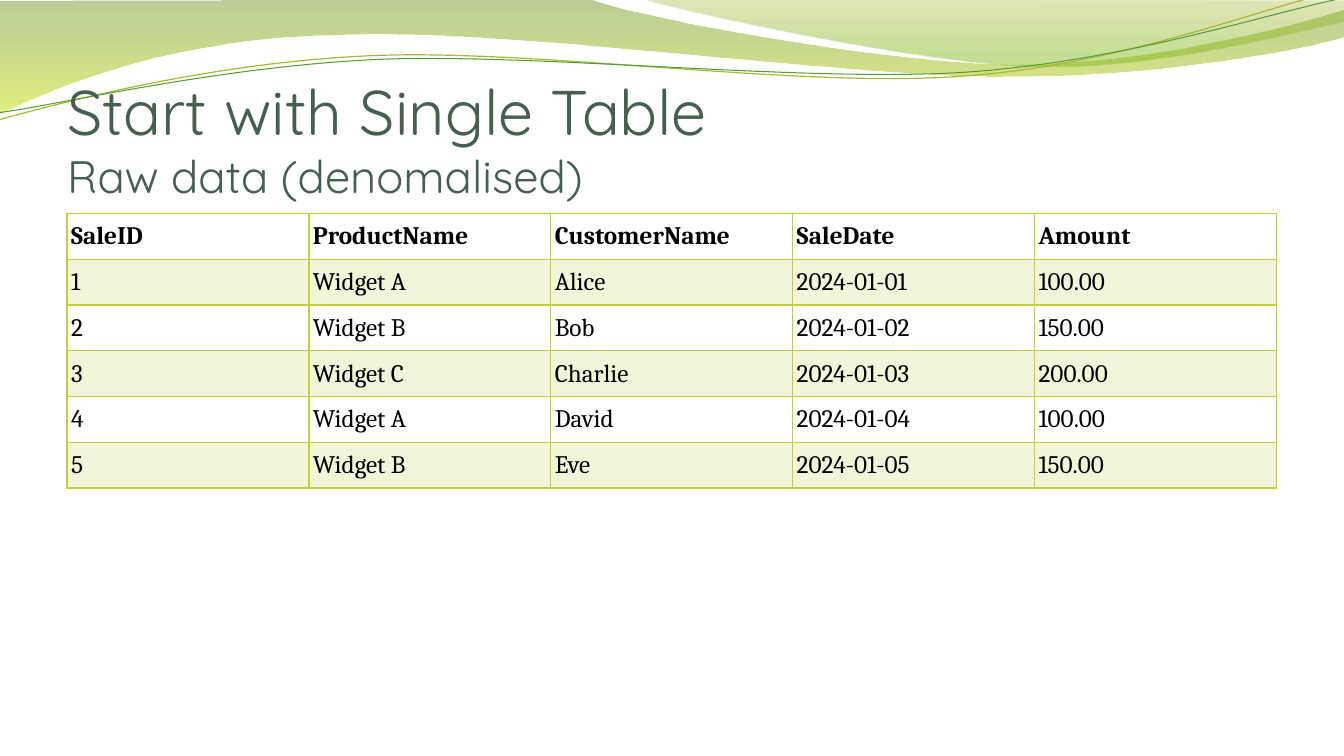
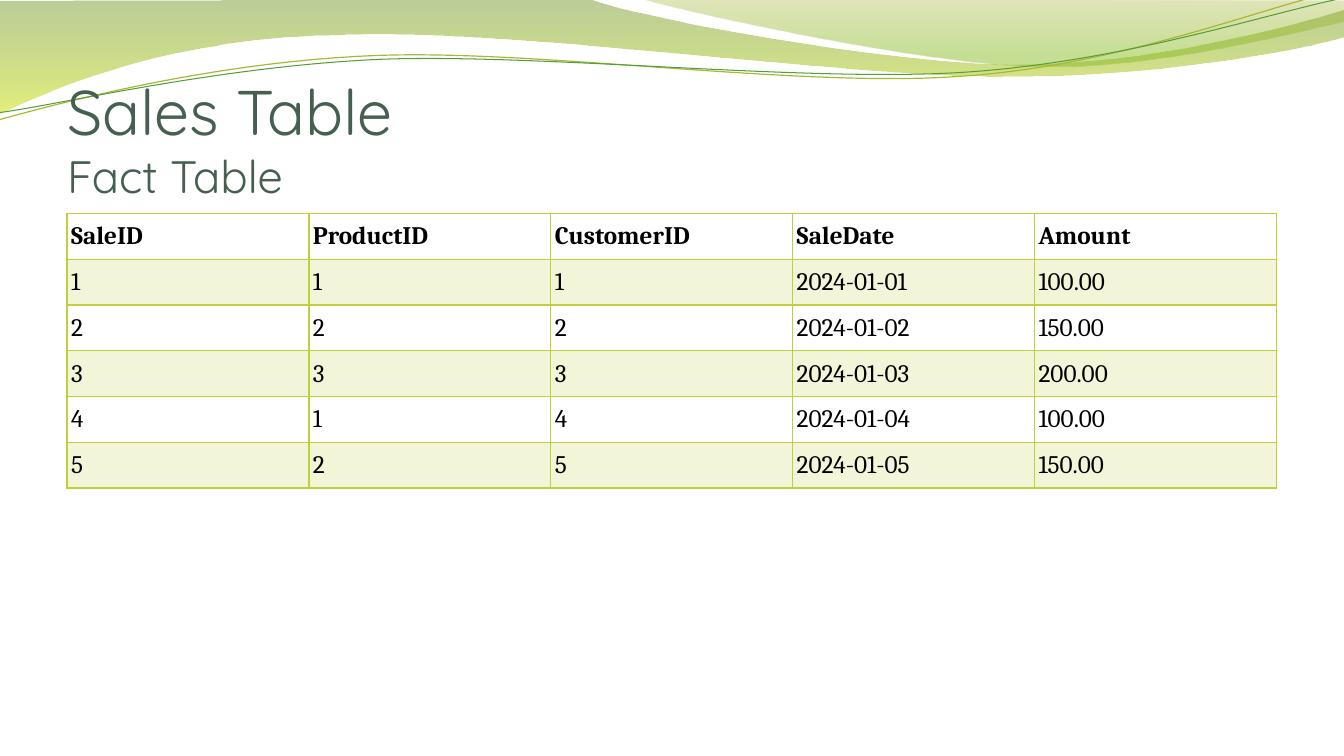
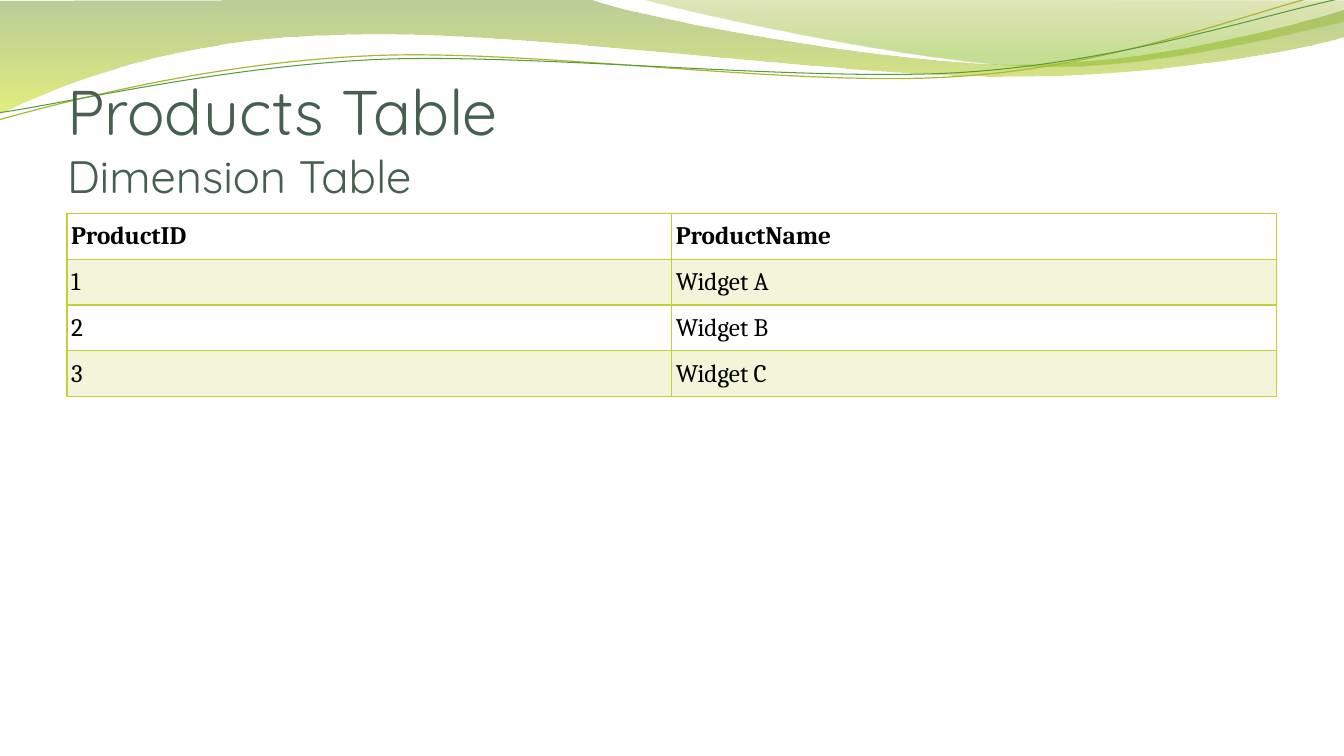
from dataclasses import dataclass

from lxml import etree
from pptx import Presentation
from pptx.dml.color import RGBColor
from pptx.enum.text import MSO_ANCHOR
from pptx.oxml.ns import qn
from pptx.util import Cm, Pt

BOTTOM = MSO_ANCHOR.BOTTOM
MIDDLE = MSO_ANCHOR.MIDDLE
BLANK = 6


@dataclass(frozen=True)
class Theme:
    title: str = "455F51"
    body: str = "000000"
    lime: str = "C0CF3A"
    band: int = 20  # opacity of banded rows, percent
    head_font: str = "Quicksand"
    body_font: str = "Cambria"
    head_size: float = 45
    sub_size: float = 32.4
    body_size: float = 18
    rule: float = 1


THEME = Theme()


@dataclass(frozen=True)
class Stop:
    place: float
    color: str
    alpha: int


@dataclass(frozen=True)
class Wave:
    """An outline in cm: a pair is a straight step, six numbers are a Bezier step."""
    start: tuple[float, float]
    steps: list[tuple[float, ...]]
    stops: tuple[Stop, ...] = ()
    line: str = ""
    width: float = 0
    turn: float = 0


@dataclass(frozen=True)
class Page:
    title: str
    sub: str
    rows: list[list[str]]


WAVES = [
    Wave((0, 0.02), [
        (14.91, -0.01),
        (16.1, 0.45, 22.45, 1.62, 25.68, 1.62),
        (28.88, 1.62, 32.44, 0.68, 33.86, 0.25),
        (33.88, 0.93),
        (33.3, 1.14, 29.44, 1.95, 25.25, 1.93),
        (21.06, 1.93, 12.93, 0.73, 8.71, 0.88),
        (4.37, 0.93, 1.55, 2.13, -0.05, 2.89),
        (0, 0.02),
    ], stops=(Stop(0, "69921C", 45), Stop(1, "CCE10F", 55))),
    Wave((16.21, -0.01), [
        (17.25, 0.3, 23.09, 1.59, 26.04, 1.67),
        (28.96, 1.77, 32.56, 0.83, 33.86, 0.55),
        (33.86, 0.02),
        (16.21, -0.01),
    ], stops=(Stop(0, "9BAA1A", 30), Stop(0.8, "81BA16", 45))),
    Wave((-0.08, 2.22), [
        (1.57, 1.85, 5.33, 1.03, 9.38, 1.05),
        (13.4, 1.06, 20, 2.36, 24.07, 2.27),
        (28.17, 2.21, 31.82, 0.9, 33.84, 0.55),
    ], line="A9B733", width=0.85, turn=357.3),
    Wave((-0.07, 2.04), [
        (1.54, 1.9, 5.54, 1.14, 9.59, 1.15),
        (13.65, 1.19, 20.19, 2.23, 24.24, 2.17),
        (28.28, 2.1, 31.91, 1.06, 33.91, 0.75),
    ], line="549E39", width=0.75, turn=357.3),
]

PAGES = [
    Page("Start with Single Table", "Raw data (denomalised)", [
        ["SaleID", "ProductName", "CustomerName", "SaleDate", "Amount"],
        ["1", "Widget A", "Alice", "2024-01-01", "100.00"],
        ["2", "Widget B", "Bob", "2024-01-02", "150.00"],
        ["3", "Widget C", "Charlie", "2024-01-03", "200.00"],
        ["4", "Widget A", "David", "2024-01-04", "100.00"],
        ["5", "Widget B", "Eve", "2024-01-05", "150.00"],
    ]),
    Page("Sales Table", "Fact Table", [
        ["SaleID", "ProductID", "CustomerID", "SaleDate", "Amount"],
        ["1", "1", "1", "2024-01-01", "100.00"],
        ["2", "2", "2", "2024-01-02", "150.00"],
        ["3", "3", "3", "2024-01-03", "200.00"],
        ["4", "1", "4", "2024-01-04", "100.00"],
        ["5", "2", "5", "2024-01-05", "150.00"],
    ]),
    Page("Products Table", "Dimension Table", [
        ["ProductID", "ProductName"],
        ["1", "Widget A"],
        ["2", "Widget B"],
        ["3", "Widget C"],
    ]),
]

LEFT, WIDTH = Cm(1.69), Cm(30.48)
TITLE_TOP, TITLE_HIGH, TITLE_PAD = Cm(1.96), Cm(3.18), Cm(0.13)
TABLE_TOP, ROW_HIGH, ROW_ROOM = Cm(5.38), Cm(1.04), Cm(1.19)
PAD_X, PAD_TOP, PAD_LOW = Cm(0.1), Cm(0.2), Cm(0.19)


def rgb(code: str) -> RGBColor:
    return RGBColor.from_string(code)


def fade(color, alpha: int) -> None:
    """Give a colour element an opacity in percent."""
    etree.SubElement(color, qn("a:alpha"), val=str(alpha * 1000))


def style(run, font: str, size: float, color: str, bold: bool = False) -> None:
    run.font.name = font
    run.font.size = Pt(size)
    run.font.color.rgb = rgb(color)
    run.font.bold = bold


def bend(shape, steps: list[tuple[float, ...]]) -> None:
    """Swap the straight pieces of an outline for its Bezier steps."""
    pieces = list(shape.element.iter(qn("a:lnTo")))
    for piece, step in zip(pieces, steps):
        if len(step) == 6:
            curve = etree.Element(qn("a:cubicBezTo"))
            for x, y in zip(step[::2], step[1::2]):
                etree.SubElement(curve, qn("a:pt"), x=str(Cm(x) - shape.left),
                                 y=str(Cm(y) - shape.top))
            piece.getparent().replace(piece, curve)


def add_wave(slide, wave: Wave):
    x, y = wave.start
    pen = slide.shapes.build_freeform(Cm(x), Cm(y))
    ends = [(Cm(step[-2]), Cm(step[-1])) for step in wave.steps]
    pen.add_line_segments(ends, close=bool(wave.stops))
    shape = pen.convert_to_shape()
    bend(shape, wave.steps)
    shape.shadow.inherit = False
    if wave.stops:
        shape.line.fill.background()
        shape.fill.gradient()
        shape.fill.gradient_angle = 270
        marks = shape.element.iter(qn("a:gs"))
        for stop, goal, mark in zip(shape.fill.gradient_stops, wave.stops, marks):
            stop.position = goal.place
            stop.color.rgb = rgb(goal.color)
            fade(mark[0], goal.alpha)
    else:
        shape.rotation = wave.turn
        shape.fill.background()
        shape.line.color.rgb = rgb(wave.line)
        shape.line.width = Pt(wave.width)
    return shape


def dress(layout, slide) -> None:
    """Put the waves on the layout, by way of a slide that can draw freeforms."""
    tree = layout.shapes.element
    for spot in list(layout.placeholders):
        tree.remove(spot.element)
    for shape in [add_wave(slide, wave) for wave in WAVES]:
        tree.append(shape.element)


def add_title(slide, page: Page) -> None:
    frame = slide.shapes.add_textbox(LEFT, TITLE_TOP, WIDTH, TITLE_HIGH).text_frame
    frame.word_wrap = True
    frame.vertical_anchor = BOTTOM
    frame.margin_left = frame.margin_right = frame.margin_bottom = 0
    frame.margin_top = TITLE_PAD
    para = frame.paragraphs[0]
    para.text = f"{page.title}\v{page.sub}"
    para.line_spacing = 0.98
    for run, size in zip(para.runs, (THEME.head_size, THEME.sub_size)):
        style(run, THEME.head_font, size, THEME.title)


def edge(cell) -> None:
    """Rule all four sides of a cell."""
    props = cell._tc.get_or_add_tcPr()
    for side in ("lnL", "lnR", "lnT", "lnB"):
        line = etree.SubElement(props, qn(f"a:{side}"), w=str(Pt(THEME.rule)))
        fill = etree.SubElement(line, qn("a:solidFill"))
        etree.SubElement(fill, qn("a:srgbClr"), val=THEME.lime)


def fill_cell(cell, text: str, row: int) -> None:
    cell.text_frame.text = text
    cell.vertical_anchor = MIDDLE
    cell.margin_left = cell.margin_right = PAD_X
    cell.margin_top, cell.margin_bottom = PAD_TOP, PAD_LOW
    run = cell.text_frame.paragraphs[0].runs[0]
    style(run, THEME.body_font, THEME.body_size, THEME.body, bold=row == 0)
    edge(cell)
    if row % 2:
        cell.fill.solid()
        cell.fill.fore_color.rgb = rgb(THEME.lime)
        fade(cell._tc.tcPr.find(qn("a:solidFill"))[0], THEME.band)
    else:
        cell.fill.background()


def add_grid(slide, rows: list[list[str]]) -> None:
    high, wide = len(rows), len(rows[0])
    frame = slide.shapes.add_table(
        high, wide, LEFT, TABLE_TOP, WIDTH, ROW_HIGH * high)
    frame.height = ROW_ROOM * high
    grid = frame.table
    grid.first_row = grid.horz_banding = False
    for r, row in enumerate(rows):
        for c, text in enumerate(row):
            fill_cell(grid.cell(r, c), text, r)


def main() -> None:
    deck = Presentation()
    deck.slide_width, deck.slide_height = Cm(33.87), Cm(19.05)
    layout = deck.slide_layouts[BLANK]
    slides = [deck.slides.add_slide(layout) for _ in PAGES]
    dress(layout, slides[0])
    for slide, page in zip(slides, PAGES):
        add_title(slide, page)
        add_grid(slide, page.rows)
    deck.save("out.pptx")


if __name__ == "__main__":
    main()
